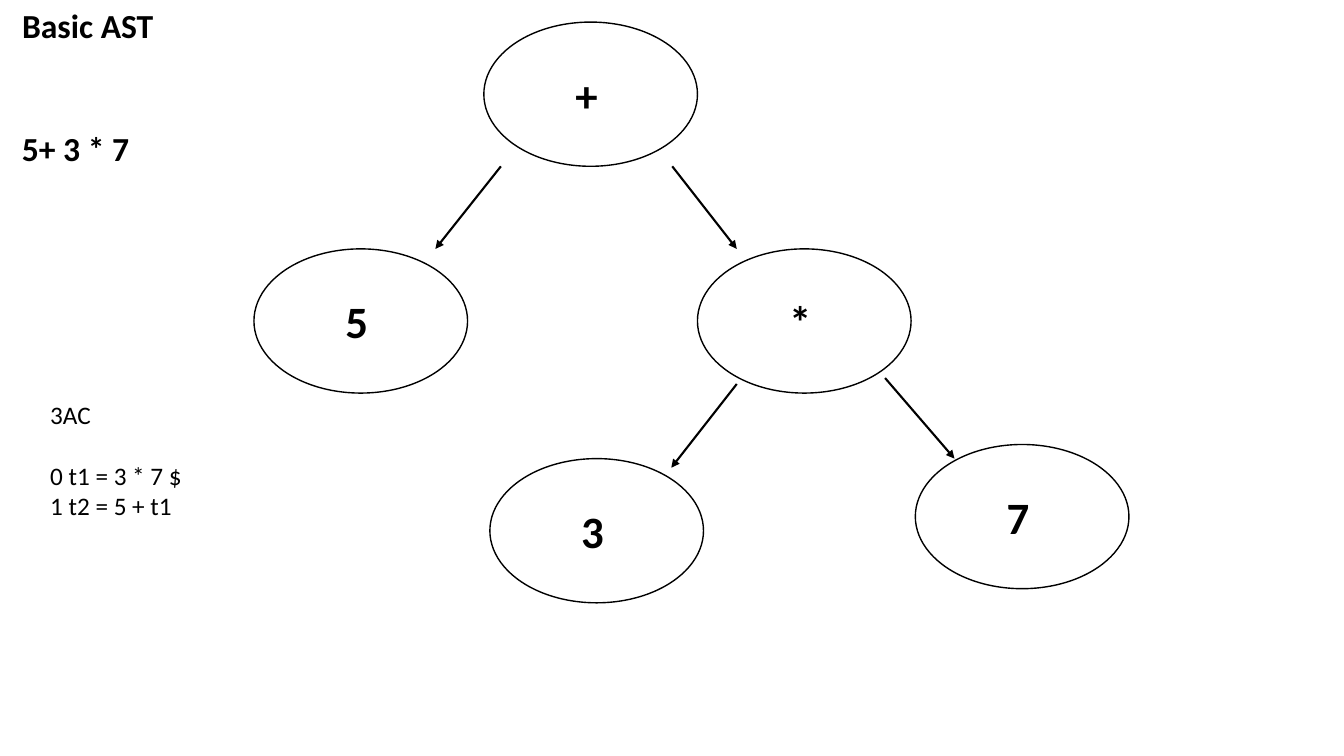
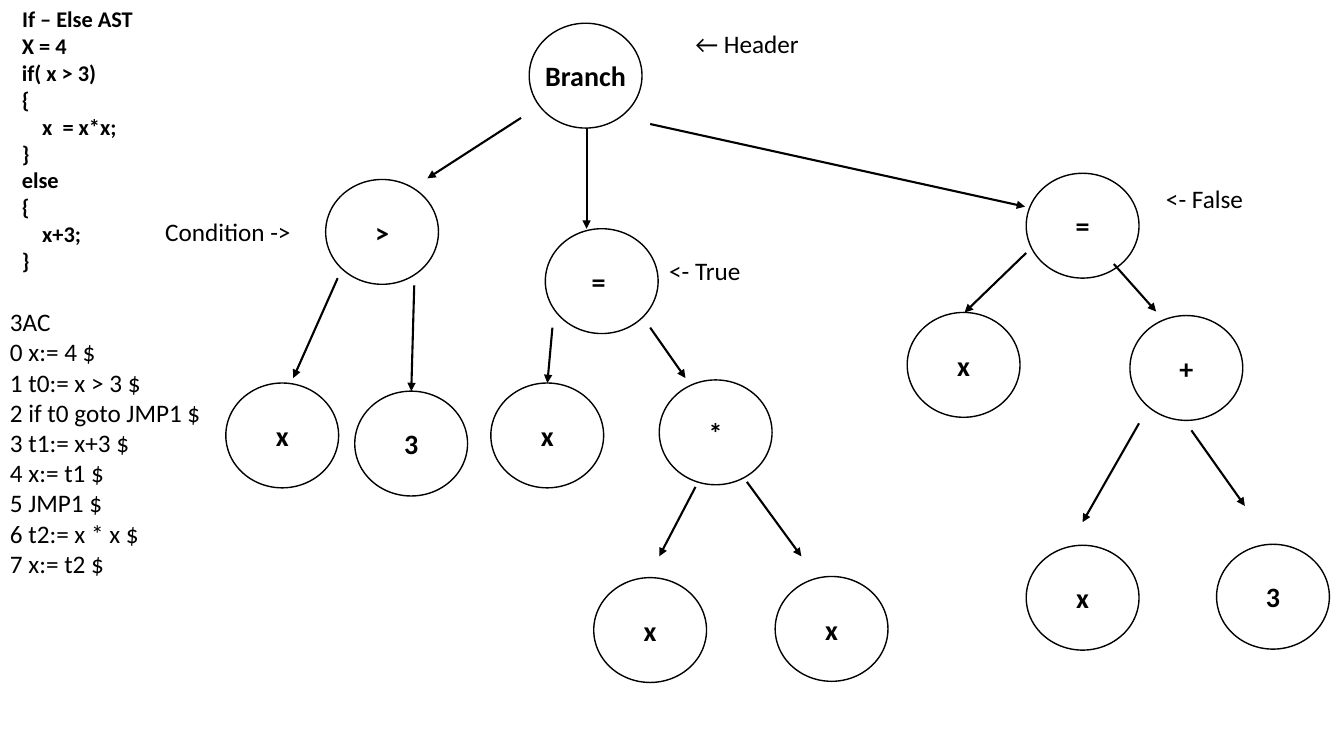
from dataclasses import dataclass
from lxml import etree
from pptx import Presentation
from pptx.dml.color import RGBColor
from pptx.enum import shapes, text
from pptx.oxml import ns
from pptx.util import Pt


@dataclass(frozen=True)
class Theme:
    font: str = "Calibri"
    ink: RGBColor = RGBColor(0, 0, 0)
    note: int = 18
    outline: float = 1
    arrow: float = 1.5
    margin: float = 8.6
    source_width: float = 172.8
    line_height: float = 1.22
    tab: float = 14.5


theme = Theme()


def write(holder, lines, size=theme.note, bold=False, align=text.PP_ALIGN.LEFT,
          anchor=text.MSO_ANCHOR.TOP, wrap=True, fit=text.MSO_AUTO_SIZE.NONE,
          insets=(7.2, 3.6, 7.2, 3.6), gap_after_first=0):
    """Write lines; a leading tab sets a paragraph indent."""
    frame = holder.text_frame
    frame.word_wrap, frame.auto_size, frame.vertical_anchor = wrap, fit, anchor
    (frame.margin_left, frame.margin_top,
     frame.margin_right, frame.margin_bottom) = map(Pt, insets)
    for number, line in enumerate(lines):
        paragraph = frame.add_paragraph() if number else frame.paragraphs[0]
        paragraph.alignment = align
        if line.startswith("\t"):
            paragraph._p.get_or_add_pPr().set("marL", str(int(Pt(theme.tab))))
        if number == 0 and gap_after_first:
            paragraph.space_after = Pt(gap_after_first)
        run = paragraph.add_run()
        run.text = line.lstrip("\t")
        run.font.name, run.font.size, run.font.bold = theme.font, Pt(size), bold
        run.font.color.rgb = theme.ink


# Content: nodes are (label, left, top), arrows (from x, y, to x, y),
# notes (left, top, width, height, lines, gap after the first line)
basic_tree = dict(
    title="Basic AST", source=["5+ 3 * 7"], source_size=24, lines_skipped=2,
    node_size=(152.6, 103), node_type=32, label_shift=5.8,
    nodes=[("+", 345.6, 15.8), ("5", 181.4, 177.8), ("*", 498.2, 177.8),
           ("3", 349.9, 327.6), ("7", 653.8, 317.5)],
    arrows=[(357.8, 118.8, 311, 177.8), (480.2, 118.8, 526.3, 177.8),
            (526.3, 274.3, 479.5, 334.1), (632.2, 270, 681.8, 327.6)],
    notes=[(28.8, 281.5, 180.7, 94.3,
            ["3AC", "0 t1 = 3 * 7 $", "1 t2 = 5 + t1"], 22)],
)

branch_tree = dict(
    title="If – Else AST", source_size=16, lines_skipped=0,
    source=["X = 4", "if( x > 3)", "{", "\tx  = x*x;", "}",
            "else", "{", "\tx+3;", "}"],
    node_size=(80.6, 74.9), node_type=20, label_shift=0,
    nodes=[("Branch", 378, 16.6), (">", 232.6, 128.2), ("= ", 389.5, 163.4),
           ("=", 733, 123.8), ("*", 470.9, 271.4), ("x", 350.6, 273.6),
           ("x", 161.3, 273.6), ("3", 253.4, 279.4), ("3", 869, 388.8),
           ("x", 733, 389.5), ("+", 807.1, 225.4), ("x", 648, 223.2),
           ("x", 553.7, 411.8), ("x", 424.1, 412.6)],
    arrows=[(372.2, 84.2, 305.3, 127.4), (464.4, 88.6, 732.2, 147.6),
            (419, 91.4, 419, 163.4), (241.2, 198.7, 209.5, 270),
            (295.9, 203.8, 293.8, 279.4), (533.5, 344.2, 572.4, 397.4),
            (496.8, 347.8, 470.9, 397.4), (464.4, 234, 489.6, 270),
            (394.6, 234, 391, 273.6), (851, 307.4, 889.2, 361.4),
            (813.6, 302.4, 773.3, 373), (733, 180.7, 689, 223.2),
            (795.6, 188.6, 825.8, 222.5)],
    notes=[(489.6, 16.6, 144.7, 28.8, ["← Header"], 0),
           (110.9, 151.2, 121.7, 28.8, ["Condition -> "], 0),
           (470.9, 178.6, 108, 28.8, ["<- True"], 0),
           (825.8, 127.4, 100, 28.8, ["<- False"], 0),
           (0, 215.3, 157.7, 203.8,
            ["3AC", "0 x:= 4 $", "1 t0:= x > 3 $", "2 if t0 goto JMP1 $ ",
             "3 t1:= x+3 $", "4 x:= t1 $", "5 JMP1 $", "6 t2:= x * x $",
             "7 x:= t2 $"], 0)],
)

deck = Presentation()
deck.slide_width, deck.slide_height = Pt(960), Pt(540)
title_only = deck.slide_layouts[5]

for tree in (basic_tree, branch_tree):
    slide = deck.slides.add_slide(title_only)

    # Title and the source code below it
    size = tree["source_size"]
    line = size * theme.line_height
    title = slide.shapes.title
    title.left, title.top = Pt(theme.margin), Pt(0)
    title.width, title.height = Pt(theme.source_width), Pt(line + 7.2)
    write(title, [tree["title"]], size=size, bold=True)
    source = slide.shapes.add_textbox(
        Pt(theme.margin), Pt(line * (1 + tree["lines_skipped"])),
        Pt(theme.source_width), Pt(line * len(tree["source"]) + 7.2))
    write(source, tree["source"], size=size, bold=True,
          fit=text.MSO_AUTO_SIZE.SHAPE_TO_FIT_TEXT)

    # Tree nodes
    for label, left, top in tree["nodes"]:
        node = slide.shapes.add_shape(shapes.MSO_SHAPE.OVAL, Pt(left), Pt(top),
                                      *map(Pt, tree["node_size"]))
        node.shadow.inherit = False
        node.fill.background()
        node.line.color.rgb, node.line.width = theme.ink, Pt(theme.outline)
        write(node, [label], size=tree["node_type"], bold=True, wrap=False,
              align=text.PP_ALIGN.CENTER, anchor=text.MSO_ANCHOR.MIDDLE,
              insets=(0, 0, tree["label_shift"], 0))

    # Arrows from parent to child
    for ends in tree["arrows"]:
        arrow = slide.shapes.add_connector(shapes.MSO_CONNECTOR.STRAIGHT,
                                           *map(Pt, ends))
        arrow.line.color.rgb, arrow.line.width = theme.ink, Pt(theme.arrow)
        etree.SubElement(arrow.line._get_or_add_ln(), ns.qn("a:tailEnd"),
                         type="triangle")
        etree.SubElement(arrow._element.spPr, ns.qn("a:effectLst"))

    # Branch labels and three-address code
    for left, top, width, height, lines, gap in tree["notes"]:
        note = slide.shapes.add_textbox(Pt(left), Pt(top), Pt(width), Pt(height))
        write(note, lines, gap_after_first=gap,
              fit=text.MSO_AUTO_SIZE.SHAPE_TO_FIT_TEXT)

deck.save("out.pptx")
